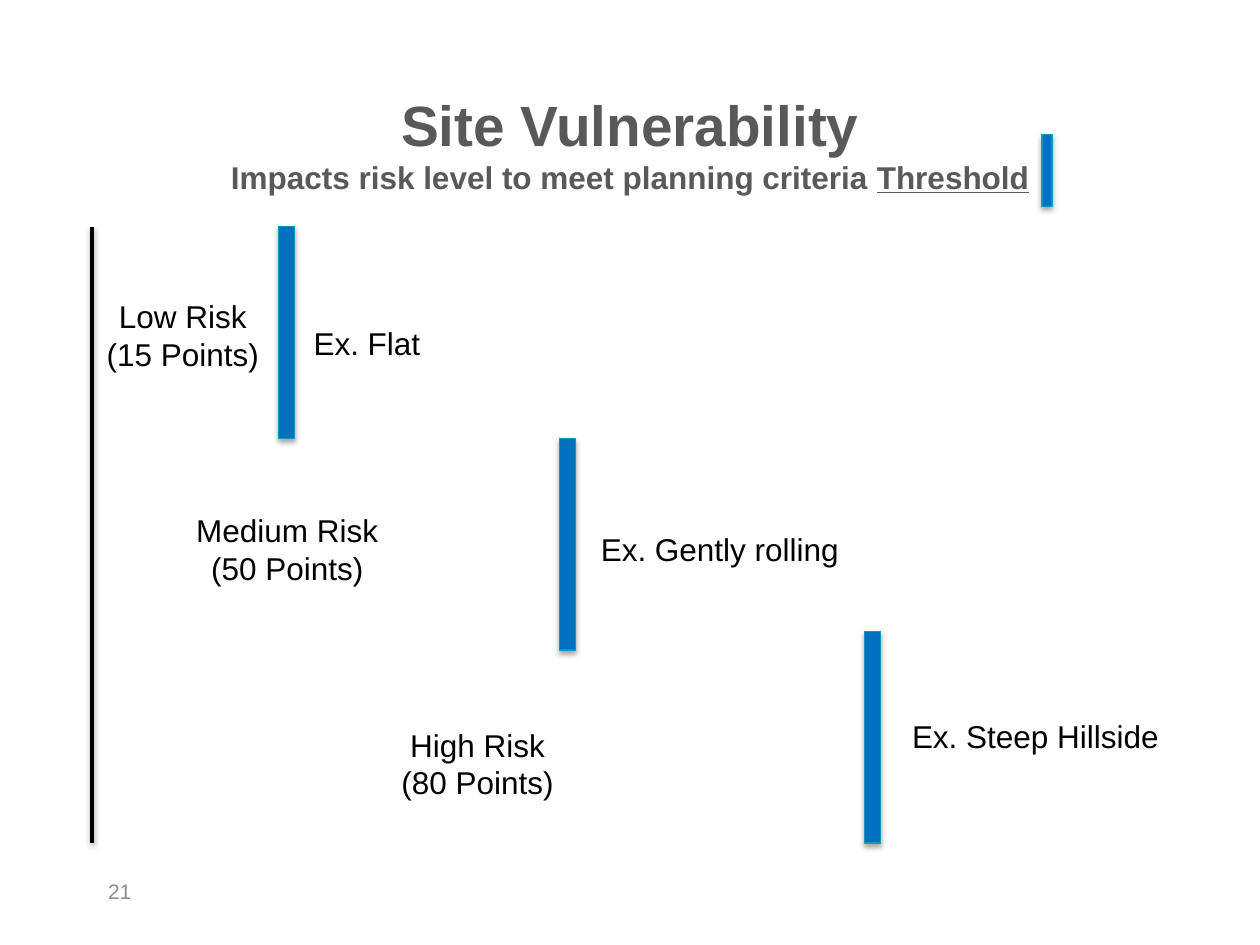
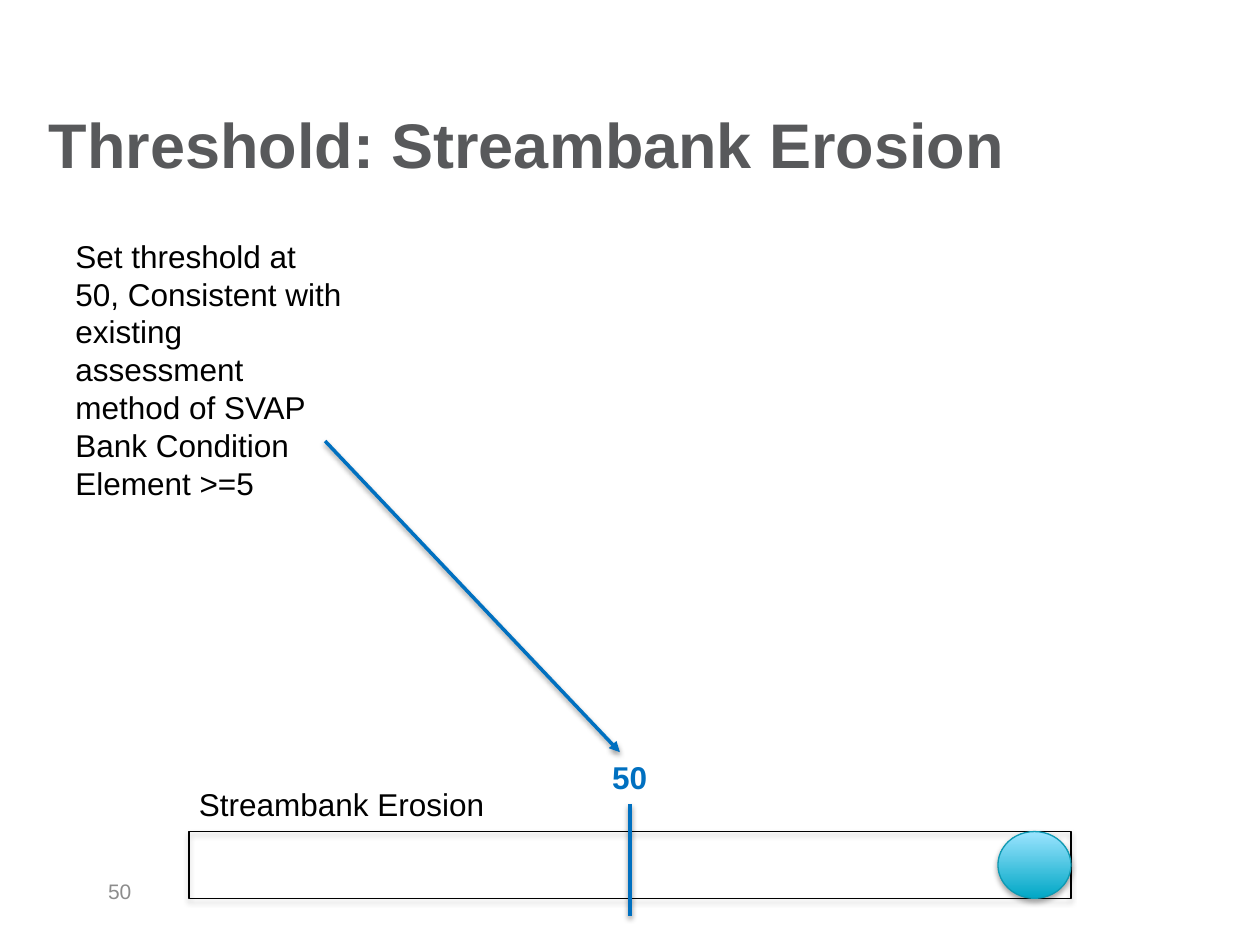
from lxml.etree import SubElement
from pptx import Presentation
from pptx.dml.color import RGBColor
from pptx.enum.shapes import MSO_CONNECTOR, MSO_SHAPE
from pptx.enum.text import MSO_ANCHOR, PP_ALIGN
from pptx.oxml.ns import qn
from pptx.util import Inches, Pt

BLACK = RGBColor(0x00, 0x00, 0x00)
BLUE = RGBColor(0x00, 0x70, 0xC0)
TEAL_EDGE = RGBColor(0x0F, 0x99, 0xB2)
TEAL = RGBColor(0x00, 0xA7, 0xC5)
PALE_TEAL = RGBColor(0x9B, 0xE4, 0xFF)
TITLE_GRAY = RGBColor(0x58, 0x59, 0x5B)
NUMBER_GRAY = RGBColor(0x8C, 0x8C, 0x8C)

BODY = {"name": "Arial", "size": Pt(18), "color": BLACK}
TITLE = BODY | {"size": Pt(36), "color": TITLE_GRAY, "bold": True}
MAIN_TITLE = TITLE | {"size": Pt(32.4)}
SUBTITLE = TITLE | {"size": Pt(18)}
PAGE_NUMBER = BODY | {"size": Pt(12), "color": NUMBER_GRAY}
THRESHOLD_VALUE = BODY | {"color": BLUE, "bold": True}

# Opacity in percent; blur and distance in points
SHAPE_SHADOW = {"opacity": 35, "blur": 3.1, "distance": 1.8}
LINE_SHADOW = {"opacity": 38, "blur": 3.1, "distance": 1.6}

CHART_TOP, CHART_BOTTOM = 1.8, 6.69
BAR_WIDTH, BAR_HEIGHT = 0.13, 1.68

# Level, its box; threshold bar left and top; example, its box
RISK_LEVELS = [
    (["Low Risk", "(15 Points)"], (0.74, 2.31, 1.42, 0.71),
     (2.21, CHART_TOP), "Ex. Flat", (2.39, 2.52, 1.41, 0.4)),
    (["Medium Risk", "(50 Points)"], (1.45, 4.01, 1.66, 0.71),
     (4.44, CHART_TOP + BAR_HEIGHT), "Ex. Gently rolling", (4.67, 4.16, 2.13, 0.4)),
    (["High Risk", "(80 Points)"], (3.08, 5.71, 1.42, 0.71),
     (6.86, CHART_BOTTOM - BAR_HEIGHT), "Ex. Steep Hillside", (7.14, 5.64, 2.43, 0.4)),
]


def inches(lengths):
    return [Inches(length) for length in lengths]


def add_run(paragraph, text, style):
    run = paragraph.add_run()
    run.text = text
    for key, value in style.items():
        if key == "color":
            run.font.color.rgb = value
        else:
            setattr(run.font, key, value)


def add_text(slide, box, lines, style=BODY, align=PP_ALIGN.LEFT,
             anchor=MSO_ANCHOR.TOP, wrap=True):
    """Add one paragraph for each line and return the text frame."""
    frame = slide.shapes.add_textbox(*inches(box)).text_frame
    frame.word_wrap = wrap
    frame.vertical_anchor = anchor
    for index, line in enumerate(lines):
        paragraph = frame.add_paragraph() if index else frame.paragraphs[0]
        paragraph.alignment = align
        add_run(paragraph, line, style)
    return frame


def add_page_number(slide, number):
    add_text(slide, (0.76, 6.87, 2.33, 0.4), [number], PAGE_NUMBER,
             anchor=MSO_ANCHOR.MIDDLE)


def cast_shadow(shape, opacity, blur, distance):
    """Add a black shadow straight below; call after fill and line are set."""
    effects = SubElement(shape._element.spPr, qn("a:effectLst"))
    shadow = SubElement(effects, qn("a:outerShdw"), blurRad=str(Pt(blur)),
                        dist=str(Pt(distance)), dir="5400000", rotWithShape="0")
    color = SubElement(shadow, qn("a:srgbClr"), val=str(BLACK))
    SubElement(color, qn("a:alpha"), val=str(opacity * 1000))


def add_shadowed_shape(slide, preset, box, fill=None, edge=TEAL_EDGE):
    """Fill may be one colour, a (bottom, top) gradient or None."""
    shape = slide.shapes.add_shape(preset, *inches(box))
    if fill is None:
        shape.fill.background()
    elif isinstance(fill, RGBColor):
        shape.fill.solid()
        shape.fill.fore_color.rgb = fill
    else:
        shape.fill.gradient()
        shape.fill.gradient_angle = 90
        for stop, color in zip(shape.fill.gradient_stops, fill):
            stop.color.rgb = color
    shape.line.color.rgb = edge
    shape.line.width = Pt(0.75)
    cast_shadow(shape, **SHAPE_SHADOW)


def add_line(slide, start, end, color, width=2, arrow=False):
    connector = slide.shapes.add_connector(
        MSO_CONNECTOR.STRAIGHT, *inches(start + end))
    connector.line.color.rgb = color
    connector.line.width = Pt(width)
    if arrow:
        SubElement(connector.line._get_or_add_ln(), qn("a:tailEnd"), type="triangle")
    cast_shadow(connector, **LINE_SHADOW)


def build_site_vulnerability(slide):
    add_shadowed_shape(slide, MSO_SHAPE.RECTANGLE, (8.27, 1.07, 0.08, 0.57), BLUE)
    title = add_text(slide, (0, 0.62, 10, 1.02), ["Site Vulnerability"], MAIN_TITLE,
                     PP_ALIGN.CENTER, MSO_ANCHOR.MIDDLE).paragraphs[0]
    title.add_line_break()
    add_run(title, "Impacts risk level to meet planning criteria ", SUBTITLE)
    add_run(title, "Threshold", SUBTITLE | {"underline": True})
    add_page_number(slide, "21")

    add_line(slide, (0.73, CHART_TOP), (0.73, CHART_BOTTOM), BLACK)
    for level, level_box, bar_corner, example, example_box in RISK_LEVELS:
        add_text(slide, level_box, level, align=PP_ALIGN.CENTER, wrap=False)
        add_shadowed_shape(slide, MSO_SHAPE.RECTANGLE,
                           (*bar_corner, BAR_WIDTH, BAR_HEIGHT), BLUE)
        add_text(slide, example_box, [example])


def build_streambank_erosion(slide):
    add_text(slide, (0.29, 0.62, 9, 1.03), ["Threshold: Streambank Erosion"], TITLE,
             anchor=MSO_ANCHOR.MIDDLE)
    add_page_number(slide, "50")
    add_text(slide, (0.5, 1.83, 2.33, 2.22), [
        "Set threshold at 50, Consistent with existing assessment method "
        "of SVAP Bank Condition Element >=5"])

    add_shadowed_shape(slide, MSO_SHAPE.RECTANGLE, (1.5, 6.6, 7, 0.53), edge=BLACK)
    add_text(slide, (1.48, 6.18, 2.49, 0.4), ["Streambank Erosion"], wrap=False)
    add_line(slide, (5, 6.38), (5, 7.27), BLUE, width=2.5)
    add_line(slide, (2.58, 3.5), (4.92, 5.97), BLUE, arrow=True)
    add_text(slide, (4.76, 5.97, 0.48, 0.4), ["50"], THRESHOLD_VALUE, wrap=False)
    add_shadowed_shape(slide, MSO_SHAPE.OVAL, (7.92, 6.6, 0.58, 0.53),
                       (TEAL, PALE_TEAL))


def main():
    deck = Presentation()
    deck.slide_width, deck.slide_height = Inches(10), Inches(7.5)
    blank = deck.slide_layouts[6]
    for build in (build_site_vulnerability, build_streambank_erosion):
        build(deck.slides.add_slide(blank))
    deck.save("out.pptx")


if __name__ == "__main__":
    main()
